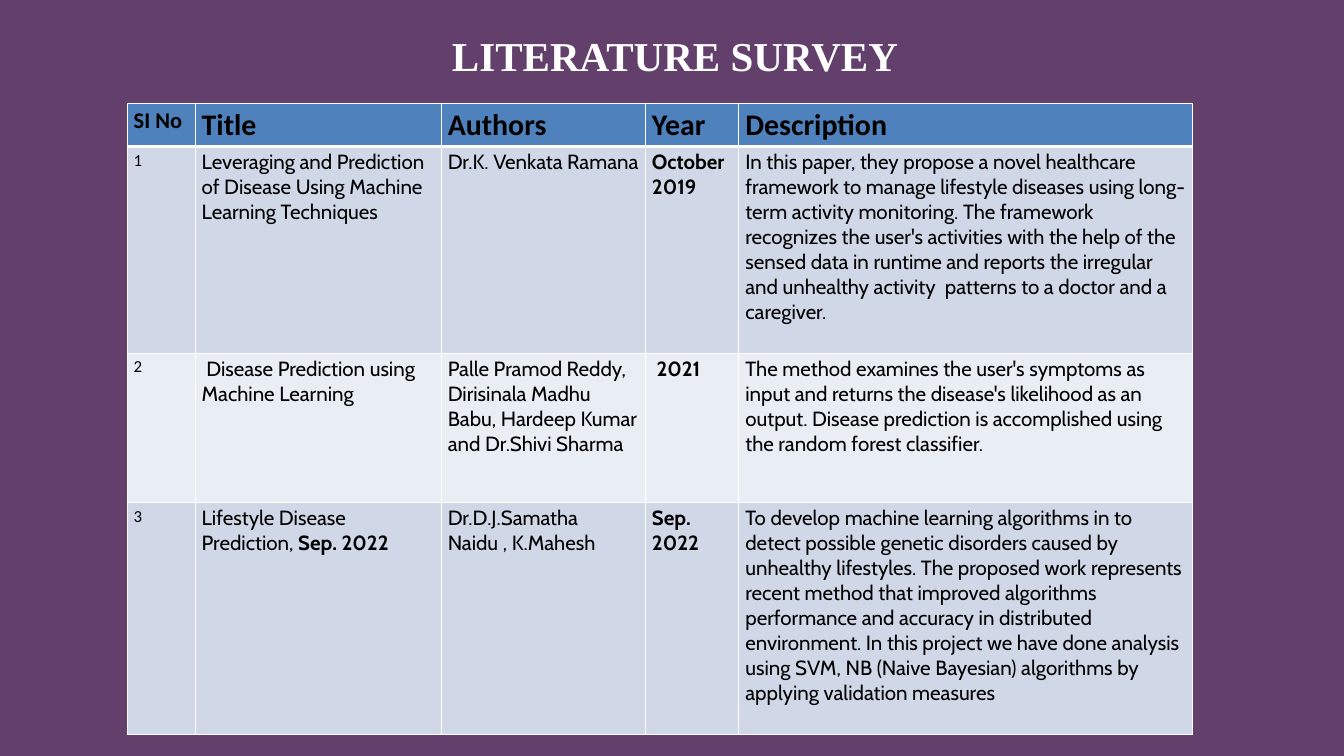
from dataclasses import dataclass

from lxml.etree import SubElement
from pptx import Presentation
from pptx.dml.color import RGBColor
from pptx.enum.text import MSO_ANCHOR, MSO_AUTO_SIZE, PP_ALIGN
from pptx.oxml.ns import qn
from pptx.table import _Cell as Cell
from pptx.util import Cm, Pt

PURPLE = RGBColor(0x62, 0x40, 0x6B)
BLUE = RGBColor(0x4F, 0x81, 0xBD)
BAND_DARK = RGBColor(0xD0, 0xD8, 0xE8)
BAND_LIGHT = RGBColor(0xE9, 0xED, 0xF4)
WHITE = RGBColor(0xFF, 0xFF, 0xFF)
BLACK = RGBColor(0x00, 0x00, 0x00)

COLUMN_WIDTHS = (2.57, 9.3, 7.72, 3.53, 17.15)
ROW_HEIGHTS = (1.63, 7.8, 5.66, 8.76)
HEADINGS = ("SI No", "Title", "Authors", "Year", "Description")


@dataclass(frozen=True)
class Span:
    text: str
    bold: bool = False


@dataclass(frozen=True)
class Paper:
    title: tuple[Span, ...]
    authors: str
    year: tuple[Span, ...]
    description: str


PAPERS = (
    Paper(
        (Span("Leveraging and Prediction of Disease Using Machine Learning Techniques"),),
        "Dr.K. Venkata Ramana",
        (Span("October 2019", True),),
        "In this paper, they propose a novel healthcare framework to manage lifestyle "
        "diseases using long-term activity monitoring. The framework recognizes the "
        "user's activities with the help of the sensed data in runtime and reports the "
        "irregular and unhealthy activity  patterns to a doctor and a caregiver.",
    ),
    Paper(
        (Span(" Disease Prediction using Machine Learning"),),
        "Palle Pramod Reddy, Dirisinala Madhu Babu, Hardeep Kumar and Dr.Shivi Sharma",
        (Span(" "), Span("2021", True)),
        "The method examines the user's symptoms as input and returns the disease's "
        "likelihood as an output. Disease prediction is accomplished using the random "
        "forest classifier.",
    ),
    Paper(
        (Span("Lifestyle Disease Prediction, "), Span("Sep. 2022", True)),
        "Dr.D.J.Samatha Naidu , K.Mahesh",
        (Span("Sep. 2022", True),),
        "To develop machine learning algorithms in to detect possible genetic disorders "
        "caused by unhealthy lifestyles. The proposed work represents recent method that "
        "improved algorithms performance and accuracy in distributed environment. In this "
        "project we have done analysis using SVM, NB (Naive Bayesian) algorithms by "
        "applying validation measures",
    ),
)


def set_borders(cell: Cell, bottom: float) -> None:
    """Draw white cell edges, 1 pt except for the bottom one."""
    properties = cell._tc.get_or_add_tcPr()
    edges = {"a:lnL": 1, "a:lnR": 1, "a:lnT": 1, "a:lnB": bottom}
    for position, (tag, width) in enumerate(edges.items()):
        edge = SubElement(properties, qn(tag), w=str(Pt(width)))
        fill = SubElement(edge, qn("a:solidFill"))
        SubElement(fill, qn("a:srgbClr"), val=str(WHITE))
        properties.insert(position, edge)


def fill_cell(cell: Cell, spans: tuple[Span, ...], font: str, size: int,
              color: RGBColor, bottom: float = 1) -> None:
    cell.fill.solid()
    cell.fill.fore_color.rgb = color
    set_borders(cell, bottom)
    paragraph = cell.text_frame.paragraphs[0]
    for span in spans:
        run = paragraph.add_run()
        run.text = span.text
        run.font.name = font
        run.font.size = Pt(size)
        run.font.bold = span.bold
        run.font.color.rgb = BLACK


def add_heading(slide) -> None:
    heading = slide.shapes.title
    heading.left, heading.top = Cm(11.48), Cm(0.91)
    heading.width, heading.height = Cm(28.42), Cm(2.31)
    frame = heading.text_frame
    frame.text = "LITERATURE SURVEY "
    frame.auto_size = MSO_AUTO_SIZE.NONE
    frame.vertical_anchor = MSO_ANCHOR.MIDDLE
    paragraph = frame.paragraphs[0]
    paragraph.alignment = PP_ALIGN.CENTER
    font = paragraph.runs[0].font
    font.name, font.size, font.bold = "Times New Roman", Pt(44), True
    font.color.rgb = WHITE


def add_survey(slide) -> None:
    survey = slide.shapes.add_table(
        len(ROW_HEIGHTS), len(COLUMN_WIDTHS), Cm(4.8), Cm(3.91),
        Cm(sum(COLUMN_WIDTHS)), Cm(sum(ROW_HEIGHTS))).table
    for column, width in zip(survey.columns, COLUMN_WIDTHS):
        column.width = Cm(width)
    for row, height in zip(survey.rows, ROW_HEIGHTS):
        row.height = Cm(height)

    for column, heading in enumerate(HEADINGS):
        size = 32 if column else 24
        fill_cell(survey.cell(0, column), (Span(heading, True),), "Calibri", size, BLUE, 3)

    for number, paper in enumerate(PAPERS, start=1):
        band = BAND_DARK if number % 2 else BAND_LIGHT
        fill_cell(survey.cell(number, 0), (Span(str(number)),), "Calibri", 18, band)
        details = (paper.title, (Span(paper.authors),), paper.year,
                   (Span(paper.description),))
        for column, spans in enumerate(details, start=1):
            fill_cell(survey.cell(number, column), spans, "Cabin", 22, band)


def main() -> None:
    deck = Presentation()
    deck.slide_width, deck.slide_height = Cm(50.8), Cm(28.58)
    slide = deck.slides.add_slide(deck.slide_layouts[5])
    slide.background.fill.solid()
    slide.background.fill.fore_color.rgb = PURPLE
    add_heading(slide)
    add_survey(slide)
    deck.save("out.pptx")


if __name__ == "__main__":
    main()
